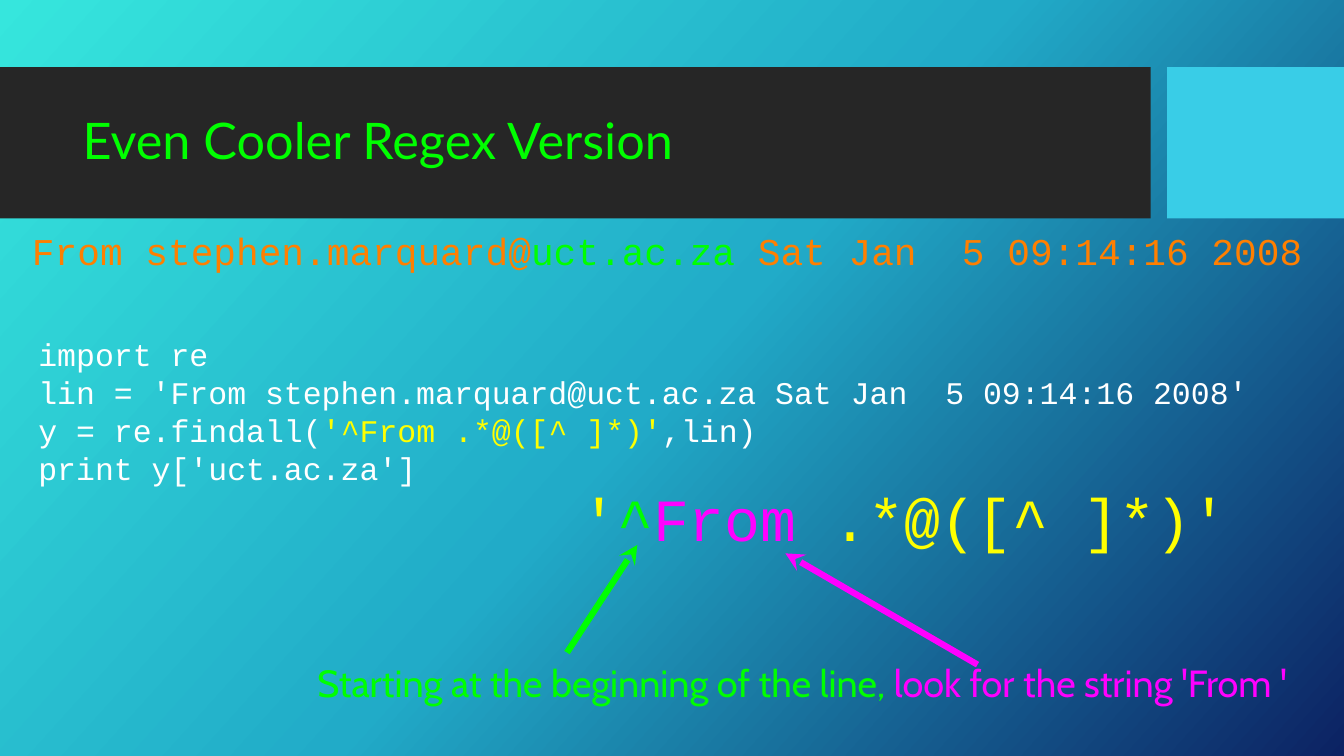
from copy import deepcopy
from typing import NamedTuple

from lxml import etree
from pptx import Presentation
from pptx.dml.color import RGBColor
from pptx.enum.shapes import MSO_CONNECTOR, MSO_SHAPE
from pptx.enum.text import MSO_ANCHOR, MSO_AUTO_SIZE, PP_ALIGN
from pptx.oxml.ns import qn
from pptx.util import Pt

RECTANGLE = MSO_SHAPE.RECTANGLE
STRAIGHT = MSO_CONNECTOR.STRAIGHT
MIDDLE = MSO_ANCHOR.MIDDLE
NO_AUTOFIT = MSO_AUTO_SIZE.NONE
LEFT = PP_ALIGN.LEFT
CENTER = PP_ALIGN.CENTER

WHITE = RGBColor(0xFF, 0xFF, 0xFF)
GREEN = RGBColor(0x00, 0xFF, 0x00)
ORANGE = RGBColor(0xFF, 0x7F, 0x00)
YELLOW = RGBColor(0xFF, 0xFF, 0x00)
MAGENTA = RGBColor(0xFF, 0x00, 0xFF)
CHARCOAL = RGBColor(0x26, 0x26, 0x26)
SKY = RGBColor(0x39, 0xCD, 0xE7)
BACKGROUND_COLORS = (
    RGBColor(0x36, 0xE6, 0xDD),
    RGBColor(0x21, 0xAB, 0xC8),
    RGBColor(0x0C, 0x22, 0x63),
)

CODE_FONT = "Courier New"
TITLE_FONT = "Lato"
CAPTION_FONT = "Cabin"
TITLE_ONLY_LAYOUT = 5


class Box(NamedTuple):
    left: float
    top: float
    width: float
    height: float


class Span(NamedTuple):
    text: str
    color: RGBColor


class Band(NamedTuple):
    box: Box
    color: RGBColor


class TextBlock(NamedTuple):
    box: Box
    lines: list[list[Span]]
    font: str
    size: float
    alignment: PP_ALIGN = LEFT
    wrap: bool = True


class Arrow(NamedTuple):
    tip: tuple[float, float]
    tail: tuple[float, float]
    color: RGBColor


BANDS = [
    Band(Box(0, 64, 1096, 144), CHARCOAL),
    Band(Box(1111.5, 64, 168.5, 144), SKY),
]

TITLE_BOX = Box(71.5, 79, 1009.5, 114)
TITLE_LINES = [[Span("Even Cooler Regex Version", GREEN)]]

TEXT_BLOCKS = [
    TextBlock(
        Box(30.5, 211.5, 1219, 53.5),
        [[
            Span("From stephen.marquard@", ORANGE),
            Span("uct.ac.za", GREEN),
            Span(" Sat Jan  5 09:14:16 2008", ORANGE),
        ]],
        CODE_FONT, 36, wrap=False,
    ),
    TextBlock(
        Box(36.5, 302.5, 1241.5, 178),
        [
            [Span("import re", WHITE)],
            [Span("lin = 'From stephen.marquard@uct.ac.za Sat Jan  5 09:14:16 2008'", WHITE)],
            [
                Span("y = re.findall(", WHITE),
                Span("'^From .*@([^ ]*)'", YELLOW),
                Span(",lin)", WHITE),
            ],
            [Span("print y['uct.ac.za']", WHITE)],
        ],
        CODE_FONT, 30,
    ),
    TextBlock(
        Box(553.5, 458.5, 622, 69),
        [[
            Span("'", YELLOW),
            Span("^", GREEN),
            Span("From ", MAGENTA),
            Span(".*@([^ ]*)'", YELLOW),
        ]],
        CODE_FONT, 57, wrap=False,
    ),
    TextBlock(
        Box(299.5, 625, 929, 49),
        [[
            Span("Starting at the beginning of the line, ", GREEN),
            Span("look for the string 'From ' ", MAGENTA),
        ]],
        CAPTION_FONT, 36, alignment=CENTER,
    ),
]

ARROWS = [
    Arrow((607, 519), (540, 621.5), GREEN),
    Arrow((748, 527), (931, 633), MAGENTA),
]


def points(box: Box) -> list[Pt]:
    return [Pt(length) for length in box]


def paint_background(slide) -> None:
    fill = slide.background.fill
    fill.gradient()
    stop_list = slide.element.find(".//" + qn("a:gsLst"))
    stop_list.append(deepcopy(stop_list[-1]))
    for index, (stop, color) in enumerate(zip(fill.gradient_stops, BACKGROUND_COLORS)):
        stop.position = index / 2
        stop.color.rgb = color
    fill.gradient_angle = 360 - 42


def add_band(slide, band: Band) -> None:
    shape = slide.shapes.add_shape(RECTANGLE, *points(band.box))
    shape.shadow.inherit = False
    shape.fill.solid()
    shape.fill.fore_color.rgb = band.color
    shape.line.fill.background()


def write_text(frame, lines: list[list[Span]], *, font: str, size: float,
               alignment: PP_ALIGN = LEFT, wrap: bool = True,
               line_spacing: float = 1.0) -> None:
    frame.auto_size = NO_AUTOFIT
    frame.word_wrap = wrap
    frame.vertical_anchor = MIDDLE
    for index, spans in enumerate(lines):
        paragraph = frame.add_paragraph() if index else frame.paragraphs[0]
        paragraph.alignment = alignment
        paragraph.line_spacing = line_spacing
        for span in spans:
            run = paragraph.add_run()
            run.text = span.text
            run.font.name = font
            run.font.size = Pt(size)
            run.font.color.rgb = span.color


def add_title(slide) -> None:
    title = slide.shapes.title
    title.left, title.top, title.width, title.height = points(TITLE_BOX)
    write_text(title.text_frame, TITLE_LINES, font=TITLE_FONT, size=48, line_spacing=0.9)
    title.element.getparent().append(title.element)


def add_text_block(slide, block: TextBlock) -> None:
    frame = slide.shapes.add_textbox(*points(block.box)).text_frame
    frame.margin_left = frame.margin_right = frame.margin_top = frame.margin_bottom = 0
    write_text(frame, block.lines, font=block.font, size=block.size,
               alignment=block.alignment, wrap=block.wrap)


def add_arrow(slide, arrow: Arrow) -> None:
    ends = [Pt(length) for length in arrow.tip + arrow.tail]
    connector = slide.shapes.add_connector(STRAIGHT, *ends)
    connector.line.color.rgb = arrow.color
    connector.line.width = Pt(6)
    properties = connector.element.spPr
    etree.SubElement(properties.find(qn("a:ln")), qn("a:headEnd"), type="stealth")
    etree.SubElement(properties, qn("a:effectLst"))


def main() -> None:
    presentation = Presentation()
    presentation.slide_width = Pt(1280)
    presentation.slide_height = Pt(720)
    slide = presentation.slides.add_slide(presentation.slide_layouts[TITLE_ONLY_LAYOUT])
    paint_background(slide)
    for band in BANDS:
        add_band(slide, band)
    add_title(slide)
    for block in TEXT_BLOCKS:
        add_text_block(slide, block)
    for arrow in ARROWS:
        add_arrow(slide, arrow)
    presentation.save("out.pptx")


if __name__ == "__main__":
    main()
